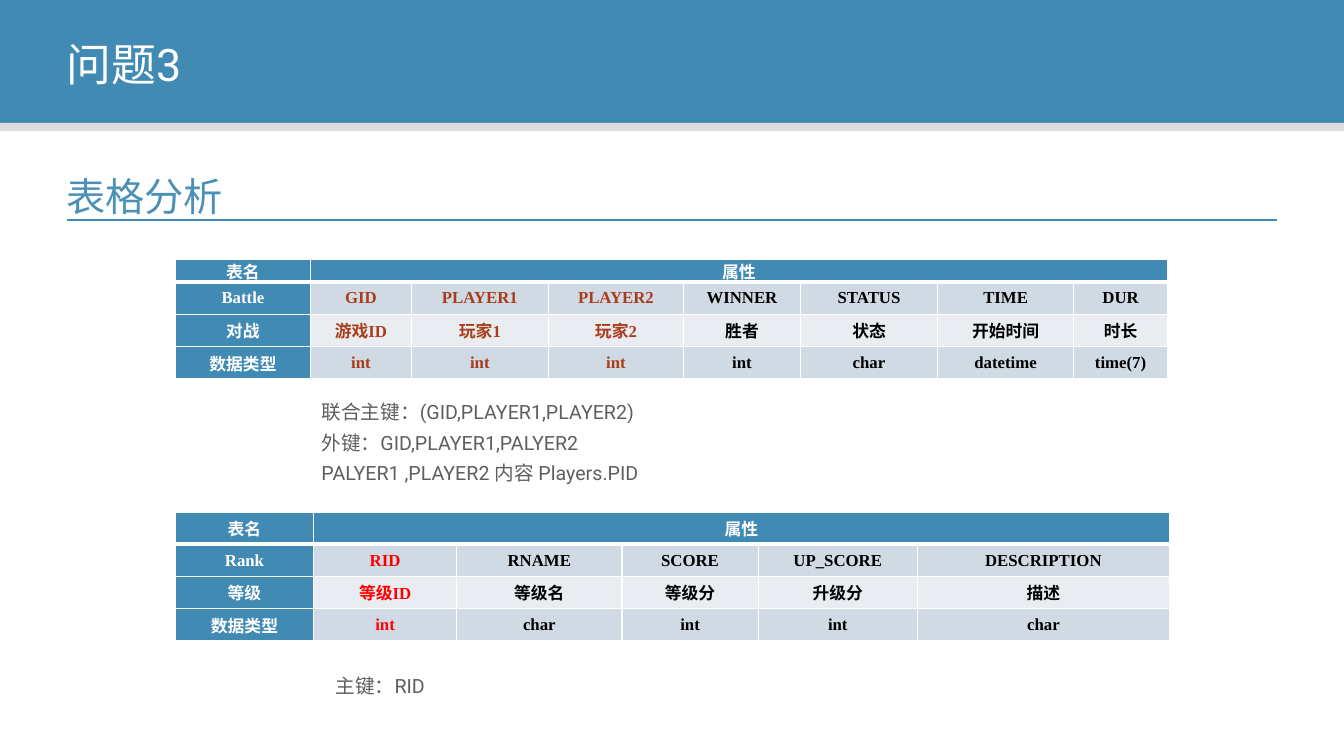
from lxml.etree import SubElement
from pptx import Presentation
from pptx.dml.color import RGBColor
from pptx.enum.shapes import MSO_CONNECTOR, MSO_SHAPE
from pptx.enum.text import MSO_ANCHOR, PP_ALIGN
from pptx.oxml.ns import qn
from pptx.util import Inches, Pt

BLUE, WHITE, BLACK = "418AB3", "FFFFFF", "000000"
HEADING_BLUE, GRAY, BAR_GRAY = "4A90B7", "5E5E5E", "DDDDDD"
BAND_DARK, BAND_LIGHT = "CFDAE5", "E9EDF2"
BROWN, RED = "AB3C19", "FF0000"


def color(hex_string):
    return RGBColor.from_string(hex_string)


class SlideBuilder:
    text_font = "Roboto"
    table_font = "Times New Roman"

    def __init__(self, page):
        self.page = page

    def bar(self, left, top, width, height, fill):
        shape = self.page.shapes.add_shape(
            MSO_SHAPE.RECTANGLE, Inches(left), Inches(top), Inches(width), Inches(height))
        shape.shadow.inherit = False
        shape.fill.solid()
        shape.fill.fore_color.rgb = color(fill)
        shape.line.fill.background()

    def rule(self, left, right, y):
        line = self.page.shapes.add_connector(
            MSO_CONNECTOR.STRAIGHT, Inches(left), Inches(y), Inches(right), Inches(y))
        line.line.color.rgb = color(BLUE)
        line.line.width = Pt(1.5)
        SubElement(line._element.spPr, qn("a:effectLst"))

    def text(self, left, top, width, height, lines, size, fill,
             spacing=1.3, align=PP_ALIGN.JUSTIFY, anchor=MSO_ANCHOR.TOP):
        box = self.page.shapes.add_textbox(
            Inches(left), Inches(top), Inches(width), Inches(height))
        frame = box.text_frame
        frame.word_wrap = True
        frame.vertical_anchor = anchor
        frame.text = "\n".join(lines)
        for para in frame.paragraphs:
            para.alignment = align
            para.line_spacing = spacing
            for span in para.runs:
                self.format_font(span.font, self.text_font, size, fill)

    def format_font(self, font, name, size, fill, bold=False):
        font.name = name
        font.size = Pt(size)
        font.bold = bold
        font.color.rgb = color(fill)

    def table(self, left, top, widths, heights, rows, key_count, key_color):
        frame = self.page.shapes.add_table(
            len(heights), len(widths), Inches(left), Inches(top),
            Inches(sum(widths)), Inches(sum(heights)))
        table = frame.table
        for column, width in zip(table.columns, widths):
            column.width = Inches(width)
        for row, height in zip(table.rows, heights):
            row.height = Inches(height)
        for i, row in enumerate(table.rows):
            for j, cell in enumerate(row.cells):
                header = i == 0 or j == 0
                band = BAND_DARK if i % 2 else BAND_LIGHT
                ink = WHITE if header else key_color if j <= key_count else BLACK
                label = rows[i][j] if j < len(rows[i]) else ""
                self.cell(cell, label, BLUE if header else band, ink, 3 if i == 0 else 1)
        table.cell(0, 1).merge(table.cell(0, len(widths) - 1))

    def cell(self, cell, label, fill, ink, bottom_width):
        self.borders(cell, bottom_width)
        cell.fill.solid()
        cell.fill.fore_color.rgb = color(fill)
        cell.vertical_anchor = MSO_ANCHOR.MIDDLE
        cell.margin_left = cell.margin_right = Inches(0.07)
        cell.margin_top = cell.margin_bottom = 0
        cell.text_frame.text = label
        para = cell.text_frame.paragraphs[0]
        para.alignment = PP_ALIGN.CENTER
        self.format_font(para.font, self.table_font, 12, ink, True)
        for span in para.runs:
            self.format_font(span.font, self.table_font, 12, ink, True)

    def borders(self, cell, bottom_width):
        properties = cell._tc.get_or_add_tcPr()
        for side, width in (("L", 1), ("R", 1), ("T", 1), ("B", bottom_width)):
            edge = SubElement(properties, qn(f"a:ln{side}"), w=str(Pt(width)))
            SubElement(SubElement(edge, qn("a:solidFill")), qn("a:srgbClr"), val=WHITE)


def main():
    deck = Presentation()
    deck.slide_width, deck.slide_height = Inches(13.33), Inches(7.5)
    builder = SlideBuilder(deck.slides.add_slide(deck.slide_layouts[6]))

    # Title band
    builder.bar(0, 0, 13.33, 1.22, BLUE)
    builder.bar(0, 1.22, 13.33, 0.08, BAR_GRAY)
    builder.text(0.56, 0.33, 10.98, 0.61, ["问题3"], 32, WHITE,
                 spacing=1, align=PP_ALIGN.LEFT, anchor=MSO_ANCHOR.MIDDLE)

    # Section heading
    builder.text(0.56, 1.52, 5.34, 0.66, ["表格分析"], 28, HEADING_BLUE)
    builder.rule(0.66, 12.67, 2.18)

    # Battle table and its keys
    builder.table(
        1.74, 2.57, [1.34, 1, 1.36, 1.34, 1.16, 1.36, 1.35, 0.93], [0.23] + [0.32] * 3,
        [["表名", "属性"],
         ["Battle", "GID", "PLAYER1", "PLAYER2", "WINNER", "STATUS", "TIME", "DUR"],
         ["对战", "游戏ID", "玩家1", "玩家2", "胜者", "状态", "开始时间", "时长"],
         ["数据类型", "int", "int", "int", "int", "char", "datetime", "time(7)"]],
        3, BROWN)
    builder.text(3.09, 3.85, 3.8, 0.99,
                 ["联合主键：(GID,PLAYER1,PLAYER2)",
                  "外键：GID,PLAYER1,PALYER2",
                  "PALYER1 ,PLAYER2 内容 Players.PID"], 14, GRAY)

    # Rank table and its key
    builder.table(
        1.74, 5.08, [1.37, 1.42, 1.64, 1.35, 1.58, 2.5], [0.32] * 4,
        [["表名", "属性"],
         ["Rank", "RID", "RNAME", "SCORE", "UP_SCORE", "DESCRIPTION"],
         ["等级", "等级ID", "等级名", "等级分", "升级分", "描述"],
         ["数据类型", "int", "char", "int", "int", "char"]],
        1, RED)
    builder.text(3.23, 6.57, 3.8, 0.38, ["主键：RID"], 14, GRAY)

    deck.save("out.pptx")


if __name__ == "__main__":
    main()
